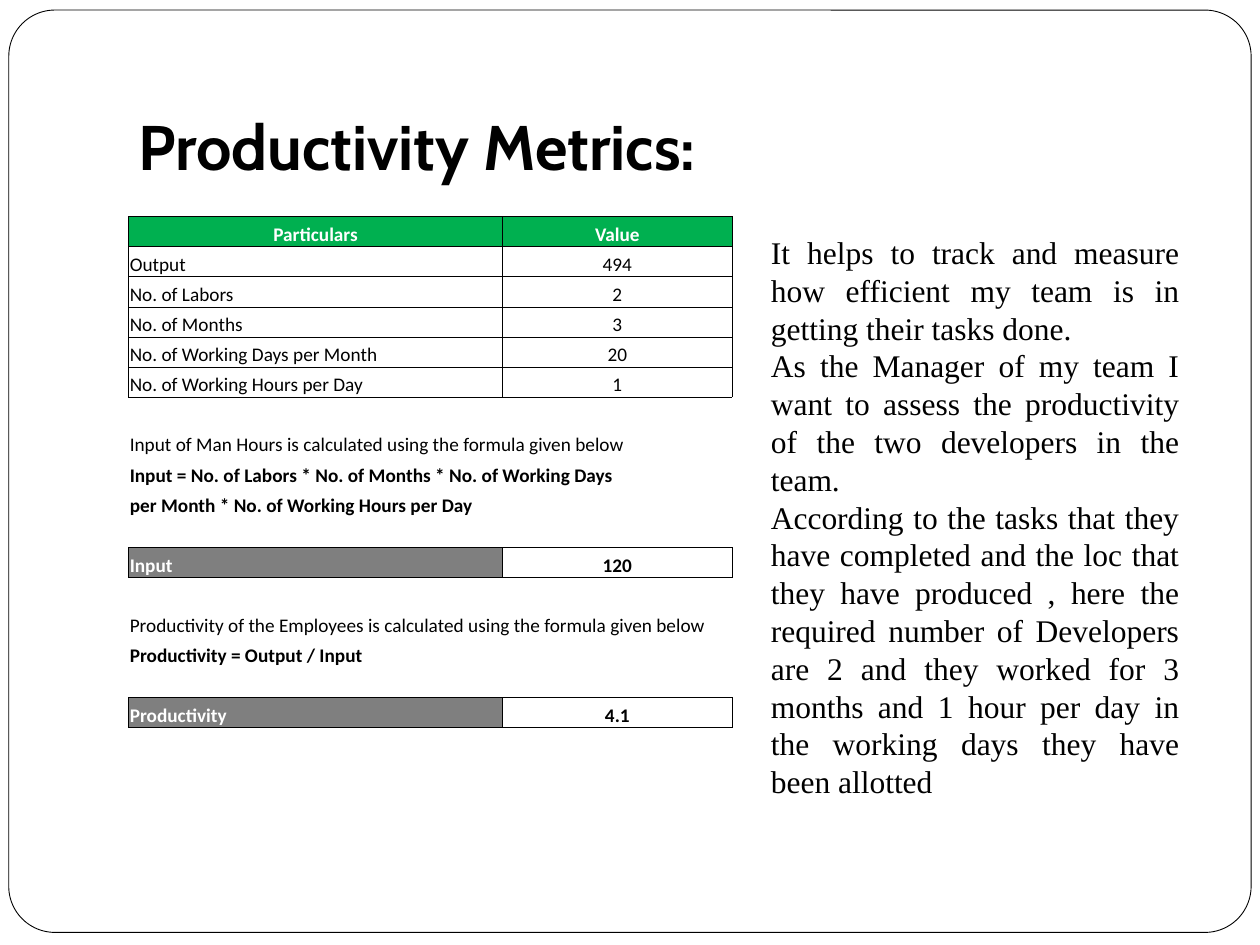
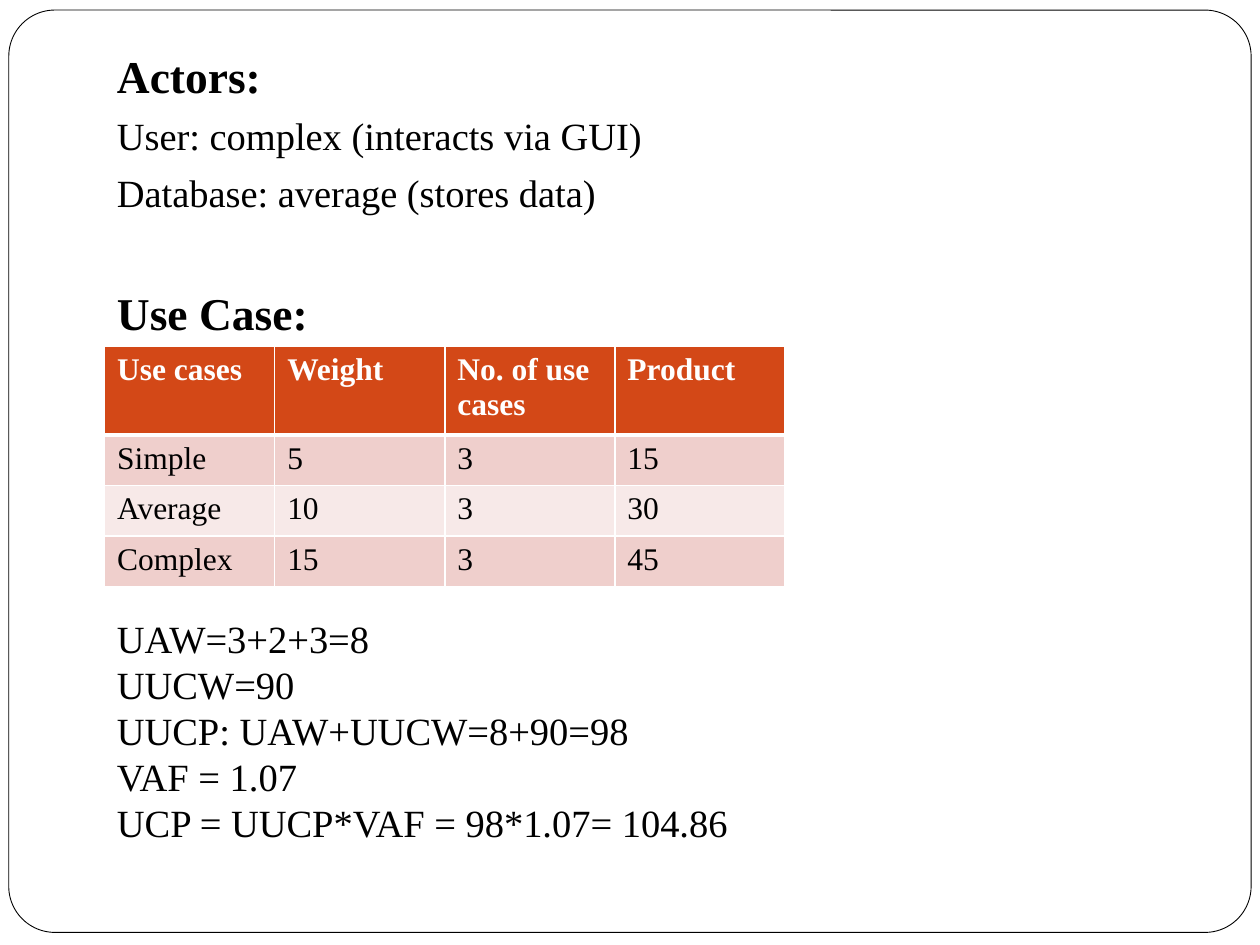
from collections import namedtuple

from lxml import etree
from pptx import Presentation
from pptx import util as u
from pptx.dml import color
from pptx.enum import shapes, text
from pptx.oxml import ns

SLIDE_WIDTH, SLIDE_HEIGHT = u.Inches(10), u.Inches(7.5)
COLUMN, ROW = SLIDE_WIDTH / 100, SLIDE_HEIGHT / 75
BLACK, WHITE = "000000", "FFFFFF"
GREEN, GREY = "00B050", "7F7F7F"
ORANGE, ROSE, PALE_ROSE = "D34817", "EFCFCC", "F7E9E8"
SERIF, SANS, TITLE_FONT = "Times New Roman", "Calibri", "Cabin"
NO_TABLE_STYLE = "{2D5ABB26-0587-4C30-8999-92F81FD0307C}"
LEFT, CENTER, JUSTIFY = text.PP_ALIGN.LEFT, text.PP_ALIGN.CENTER, text.PP_ALIGN.JUSTIFY

Box = namedtuple("Box", "left top width height")
Style = namedtuple("Style", "font size color bold align", defaults=(BLACK, False, LEFT))

FRAME = Box(0.7, 0.8, 98.6, 73.2)
METRICS_TITLE = "Productivity Metrics:"
METRICS_INPUTS = [
    ("Output", "494"),
    ("No. of Labors", "2"),
    ("No. of Months", "3"),
    ("No. of Working Days per Month", "20"),
    ("No. of Working Hours per Day", "1"),
]
METRICS_ROWS = [
    ("header", "Particulars", "Value"),
    *(("input", name, value) for name, value in METRICS_INPUTS),
    ("gap", "", ""),
    ("note", "Input of Man Hours is calculated using the formula given below", ""),
    ("formula", "Input = No. of Labors * No. of Months * No. of Working Days", ""),
    ("formula", "per Month * No. of Working Hours per Day", ""),
    ("gap", "", ""),
    ("result", "Input", "120"),
    ("gap", "", ""),
    ("note", "Productivity of the Employees is calculated using the formula given below", ""),
    ("formula", "Productivity = Output / Input", ""),
    ("gap", "", ""),
    ("result", "Productivity", "4.1"),
]
METRICS_NOTES = [
    "It helps to track and measure how efficient my team is in getting their tasks done.",
    "As the Manager of my team I want to assess the productivity of the two developers in the team.",
    "According to the tasks that they have completed and the loc that they have produced , "
    "here the required number of Developers are 2 and they worked for 3 months and 1 hour "
    "per day in the working days they have been allotted",
]
USE_CASES = [
    ("Use cases", "Weight", "No. of use cases", "Product"),
    ("Simple", "5", "3", "15"),
    ("Average", "10", "3", "30"),
    ("Complex", "15", "3", "45"),
]
POINTS = [
    "UAW=3+2+3=8",
    "UUCW=90",
    "UUCP: UAW+UUCW=8+90=98",
    "VAF = 1.07",
    "UCP = UUCP*VAF = 98*1.07= 104.86",
]


def rgb(value):
    """Turn a hex string into a colour."""
    return color.RGBColor.from_string(value)


def place(box):
    """Turn a box in grid units into slide lengths."""
    return (round(box.left * COLUMN), round(box.top * ROW),
            round(box.width * COLUMN), round(box.height * ROW))


def format_paragraph(paragraph, style):
    """Give a paragraph and its runs one style."""
    paragraph.alignment = style.align
    for run in paragraph.runs:
        run.font.name = style.font
        run.font.size = u.Pt(style.size)
        run.font.bold = style.bold
        run.font.color.rgb = rgb(style.color)


def add_text(slide, box, lines, anchor=text.MSO_ANCHOR.TOP):
    """Write lines of (text, style, space before) in a text box."""
    frame = slide.shapes.add_textbox(*place(box)).text_frame
    frame.word_wrap = True
    frame.vertical_anchor = anchor
    frame.text = "\n".join(line for line, _, _ in lines)
    for paragraph, (_, style, space) in zip(frame.paragraphs, lines):
        format_paragraph(paragraph, style)
        if space:
            paragraph.space_before = u.Pt(space)
    return frame


def add_grid_table(slide, box, widths, heights):
    """Add a table without a style, with columns and rows in grid units."""
    shape = slide.shapes.add_table(len(heights), len(widths), *place(box))
    table = shape.table
    table._tbl.tblPr.find(ns.qn("a:tableStyleId")).text = NO_TABLE_STYLE
    for column, width in zip(table.columns, widths):
        column.width = round(width * COLUMN)
    for row, height in zip(table.rows, heights):
        row.height = round(height * ROW)
    return table


def add_borders(cell, line_color, left=0.5, right=0.5, top=0.5, bottom=0.5):
    """Draw the four borders of a cell with widths in points."""
    properties = cell._tc.get_or_add_tcPr()
    for side, width in zip("LRTB", (left, right, top, bottom)):
        line = etree.SubElement(properties, ns.qn(f"a:ln{side}"), w=str(u.Pt(width)))
        fill = etree.SubElement(line, ns.qn("a:solidFill"))
        etree.SubElement(fill, ns.qn("a:srgbClr"), val=line_color)


def fill_cell(cell, value, style, fill=None):
    """Write a cell and give it a fill or none."""
    if fill:
        cell.fill.solid()
        cell.fill.fore_color.rgb = rgb(fill)
    else:
        cell.fill.background()
    cell.text = value
    paragraph = cell.text_frame.paragraphs[0]
    format_paragraph(paragraph, style)
    if not value:
        etree.SubElement(paragraph._p, ns.qn("a:endParaRPr"), sz=str(style.size * 100))


def add_framed_slide(presentation):
    """Add a blank slide with the rounded frame."""
    slide = presentation.slides.add_slide(presentation.slide_layouts[6])
    frame = slide.shapes.add_shape(shapes.MSO_SHAPE.ROUNDED_RECTANGLE, *place(FRAME))
    frame.adjustments[0] = 0.05
    frame.shadow.inherit = False
    frame.fill.solid()
    frame.fill.fore_color.rgb = rgb(WHITE)
    frame.line.color.rgb = rgb(BLACK)
    frame.line.width = u.Pt(0.5)
    return slide


def add_metrics_table(slide, box):
    """Fill the box with the productivity sheet."""
    row_height = box.height / len(METRICS_ROWS)
    widths = (box.width * 0.62, box.width * 0.38)
    table = add_grid_table(slide, box, widths, [row_height] * len(METRICS_ROWS))
    plain = Style(SANS, 11)
    bold = plain._replace(bold=True)
    light = bold._replace(color=WHITE)
    looks = {
        "header": (light._replace(align=CENTER), light, GREEN, GREEN),
        "input": (plain, plain, None, None),
        "gap": (plain, plain, None, None),
        "note": (plain, plain, None, None),
        "formula": (bold, plain, None, None),
        "result": (light, bold, GREY, None),
    }
    for index, (kind, name, value) in enumerate(METRICS_ROWS):
        name_style, value_style, name_fill, value_fill = looks[kind]
        name_cell, value_cell = table.cell(index, 0), table.cell(index, 1)
        for cell in (name_cell, value_cell):
            cell.margin_left = cell.margin_right = cell.margin_top = u.Inches(0.01)
            cell.margin_bottom = 0
            cell.vertical_anchor = text.MSO_ANCHOR.BOTTOM
            if kind in ("header", "input", "result"):
                add_borders(cell, BLACK)
        fill_cell(name_cell, name, name_style, name_fill)
        fill_cell(value_cell, value, value_style._replace(align=CENTER), value_fill)
        if kind in ("note", "formula"):
            name_cell.merge(value_cell)


def add_use_case_table(slide, box):
    """Fill the box with the weighted use cases."""
    header_height = box.height * 0.37
    body_height = (box.height - header_height) / (len(USE_CASES) - 1)
    heights = [header_height] + [body_height] * (len(USE_CASES) - 1)
    count = len(USE_CASES[0])
    table = add_grid_table(slide, box, [box.width / count] * count, heights)
    body = Style(SERIF, 18)
    header = body._replace(color=WHITE, bold=True)
    for row, values in enumerate(USE_CASES):
        fill = ORANGE if row == 0 else (PALE_ROSE, ROSE)[row % 2]
        for column, value in enumerate(values):
            cell = table.cell(row, column)
            add_borders(cell, WHITE, 1, 1, 3 if row == 1 else 1, 3 if row == 0 else 1)
            fill_cell(cell, value, body if row else header, fill)


def add_metrics_slide(presentation):
    """Build the productivity metrics slide."""
    slide = add_framed_slide(presentation)
    title = add_text(slide, Box(10, 3, 85, 12.5),
                     [(METRICS_TITLE, Style(TITLE_FONT, 36, bold=True), 0)],
                     text.MSO_ANCHOR.BOTTOM)
    title.margin_bottom = u.Inches(0.1)
    add_metrics_table(slide, Box(10.2, 17.2, 47.9, 40.6))
    note = Style(SERIF, 18, align=JUSTIFY)
    add_text(slide, Box(60.2, 18, 34.4, 40.4), [(line, note, 0) for line in METRICS_NOTES])


def add_use_case_slide(presentation):
    """Build the slide with actors, use cases and points."""
    slide = add_framed_slide(presentation)
    heading, body = Style(SERIF, 26, bold=True), Style(SERIF, 22)
    add_text(slide, Box(8.3, 3.3, 85, 42.4), [
        ("Actors:", heading, 0),
        ("User: complex (interacts via GUI)", body, 5.8),
        ("Database: average (stores data)", body, 5.8),
        ("Use Case:", heading, 40),
    ])
    add_use_case_table(slide, Box(8.3, 27.5, 54, 19))
    add_text(slide, Box(8.3, 48.3, 68.3, 19.5), [(line, body, 0) for line in POINTS])


def main():
    """Build and save the presentation."""
    presentation = Presentation()
    presentation.slide_width, presentation.slide_height = SLIDE_WIDTH, SLIDE_HEIGHT
    add_metrics_slide(presentation)
    add_use_case_slide(presentation)
    presentation.save("out.pptx")


if __name__ == "__main__":
    main()
